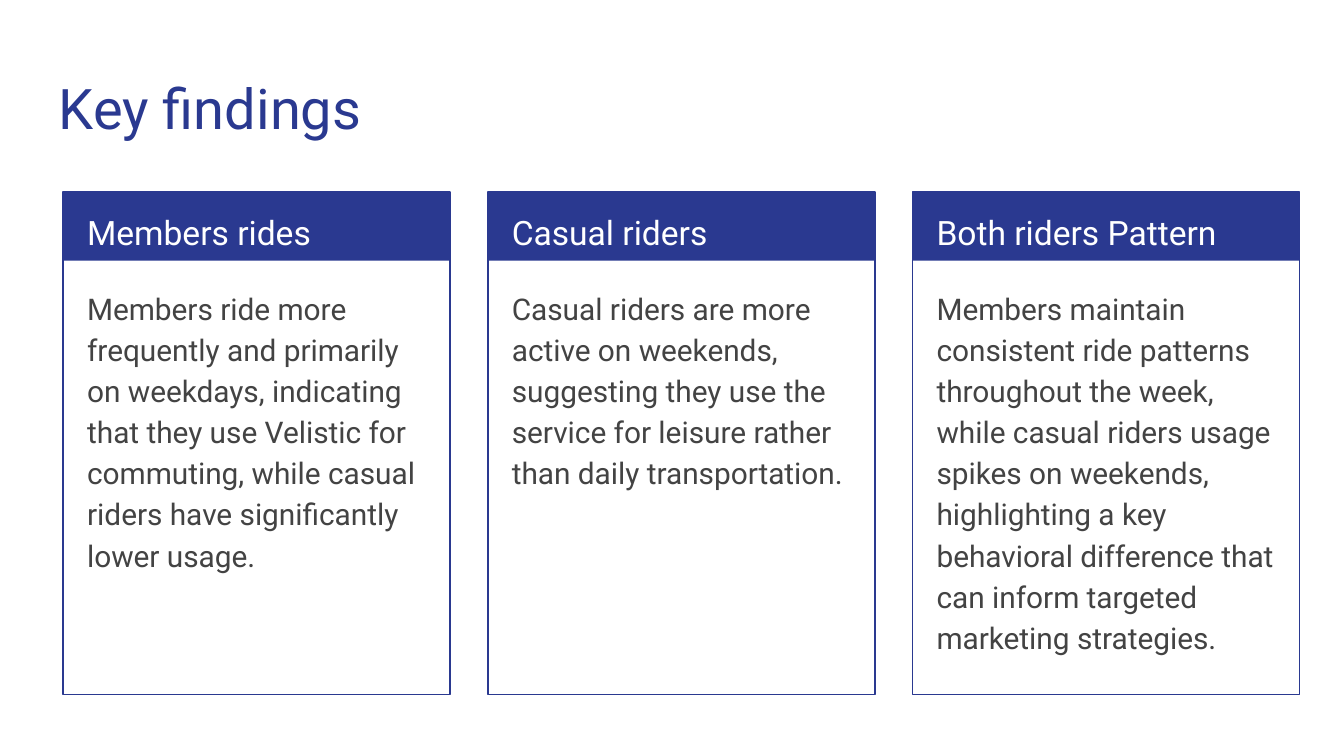
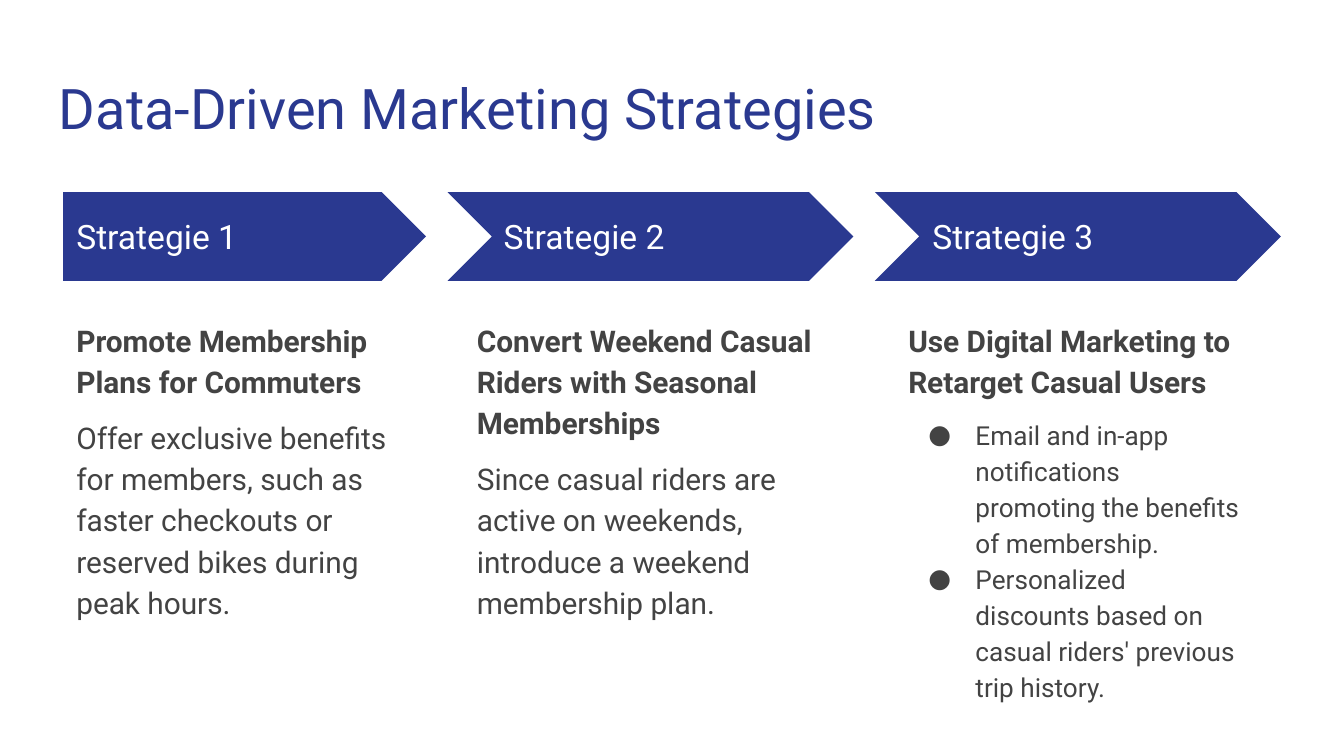
from dataclasses import dataclass

from lxml import etree
from pptx import Presentation
from pptx.dml.color import RGBColor
from pptx.enum import shapes, text
from pptx.oxml import ns
from pptx.util import Inches, Pt


@dataclass(frozen=True)
class Theme:
    font: str = "Roboto"
    blue: str = "2A3990"
    grey: str = "434343"
    white: str = "FFFFFF"
    title: int = 30
    head: int = 18
    body: int = 16
    item: int = 14
    edge: float = 0.75
    lead: float = 1.15


@dataclass(frozen=True)
class Box:
    left: float
    top: float
    width: float
    height: float

    def emu(self) -> tuple:
        return tuple(Inches(n) for n in (self.left, self.top, self.width, self.height))


@dataclass(frozen=True)
class Para:
    words: str
    size: int
    color: str
    bold: bool = False
    lead: float = 1.0
    before: int = 0
    after: int = 0
    bullet: bool = False


@dataclass(frozen=True)
class Card:
    head: str
    body: str


@dataclass(frozen=True)
class Step:
    head: str
    goal: str
    left: float
    label: float
    plan: str = ""
    items: tuple = ()


THEME = Theme()
LEFT, TOP = 0.47, 1.43
CARD_GAP, STEP_GAP = 3.16, 3.18

CARDS = (
    Card("Members rides",
         "Members ride more frequently and primarily on weekdays, indicating that "
         "they use Velistic for commuting, while casual riders have significantly "
         "lower usage."),
    Card("Casual riders",
         "Casual riders are more active on weekends, suggesting they use the service "
         "for leisure rather than daily transportation."),
    Card("Both riders Pattern",
         "Members maintain consistent ride patterns throughout the week, while casual "
         "riders usage spikes on weekends, highlighting a key behavioral difference "
         "that can inform targeted marketing strategies."),
)

STEPS = (
    Step("Strategie 1", "Promote Membership Plans for Commuters", 0.47, 0.47,
         plan="Offer exclusive benefits for members, such as faster checkouts or "
              "reserved bikes during peak hours."),
    Step("Strategie 2", "Convert Weekend Casual Riders with Seasonal Memberships",
         3.45, 3.65,
         plan="Since casual riders are active on weekends, introduce a weekend "
              "membership plan."),
    Step("Strategie 3", "Use Digital Marketing to Retarget Casual Users", 6.66, 6.84,
         items=("Email and in-app notifications promoting the benefits of membership.",
                "Personalized discounts based on casual riders' previous trip history.")),
)


def rgb(code: str) -> RGBColor:
    return RGBColor.from_string(code)


def add_bullet(para, color: str) -> None:
    props = para._p.get_or_add_pPr()
    props.set("marL", str(Inches(0.5)))
    props.set("indent", str(Inches(-0.35)))
    tint = etree.SubElement(props, ns.qn("a:buClr"))
    etree.SubElement(tint, ns.qn("a:srgbClr"), val=color)
    etree.SubElement(props, ns.qn("a:buFont"), typeface=THEME.font)
    etree.SubElement(props, ns.qn("a:buChar"), char="●")


def add_text(slide, box: Box, *paras: Para, middle: bool = False) -> None:
    frame = slide.shapes.add_textbox(*box.emu()).text_frame
    frame.word_wrap = True
    frame.margin_left = frame.margin_right = Inches(0.1)
    frame.margin_top = frame.margin_bottom = Inches(0.1)
    anchor = text.MSO_ANCHOR
    frame.vertical_anchor = anchor.MIDDLE if middle else anchor.TOP
    for num, part in enumerate(paras):
        para = frame.add_paragraph() if num else frame.paragraphs[0]
        para.text = part.words
        para.line_spacing = part.lead
        para.space_before, para.space_after = Pt(part.before), Pt(part.after)
        if part.bullet:
            add_bullet(para, part.color)
        font = para.runs[0].font
        font.name, font.size, font.bold = THEME.font, Pt(part.size), part.bold
        font.color.rgb = rgb(part.color)


def add_block(slide, kind, box: Box, solid: bool = True) -> None:
    """Draw a blue shape: filled when solid, otherwise outlined."""
    shape = slide.shapes.add_shape(kind, *box.emu())
    shape.shadow.inherit = False
    if solid:
        shape.fill.solid()
        shape.fill.fore_color.rgb = rgb(THEME.blue)
        shape.line.fill.background()
    else:
        shape.fill.background()
        shape.line.color.rgb = rgb(THEME.blue)
        shape.line.width = Pt(THEME.edge)


def add_page(deck, title: str):
    slide = deck.slides.add_slide(deck.slide_layouts[6])
    slide.background.fill.solid()
    slide.background.fill.fore_color.rgb = rgb(THEME.white)
    add_text(slide, Box(0.34, 0.45, 9.32, 0.66), Para(title, THEME.title, THEME.blue))
    return slide


def add_card(slide, num: int, card: Card) -> None:
    left = LEFT + num * CARD_GAP
    rect = shapes.MSO_SHAPE.RECTANGLE
    add_block(slide, rect, Box(left, TOP, 2.88, 0.51))
    add_block(slide, rect, Box(left, TOP, 2.88, 3.74), solid=False)
    add_text(slide, Box(left + 0.08, TOP, 2.73, 0.5),
             Para(card.head, THEME.head, THEME.white, lead=THEME.lead))
    add_text(slide, Box(left + 0.08, 2.02, 2.71, 3.06),
             Para(card.body, THEME.body, THEME.grey, lead=THEME.lead, after=16))


def add_step(slide, num: int, step: Step) -> None:
    if num:
        kind, box = shapes.MSO_SHAPE.CHEVRON, Box(0.15 + num * STEP_GAP, TOP, 3.02, 0.66)
    else:
        kind, box = shapes.MSO_SHAPE.PENTAGON, Box(LEFT, TOP, 2.7, 0.66)
    add_block(slide, kind, box)
    add_text(slide, Box(step.label, 1.59, 2.47, 0.34),
             Para(step.head, THEME.head, THEME.white), middle=True)
    paras = [Para(step.goal, THEME.body, THEME.grey, bold=True, lead=THEME.lead)]
    if step.plan:
        paras.append(Para(step.plan, THEME.body, THEME.grey, lead=THEME.lead,
                          before=8, after=8))
    for rank, item in enumerate(step.items):
        paras.append(Para(item, THEME.item, THEME.grey, lead=THEME.lead,
                          before=0 if rank else 8, bullet=True))
    add_text(slide, Box(step.left, 2.26, 2.7, 2.9), *paras)


def main() -> None:
    deck = Presentation()
    deck.slide_width = Inches(10)
    deck.slide_height = Inches(10) * 9 // 16

    slide = add_page(deck, "Key findings")
    for num, card in enumerate(CARDS):
        add_card(slide, num, card)

    slide = add_page(deck, "Data-Driven Marketing Strategies")
    for num, step in enumerate(STEPS):
        add_step(slide, num, step)

    deck.save("out.pptx")


if __name__ == "__main__":
    main()
